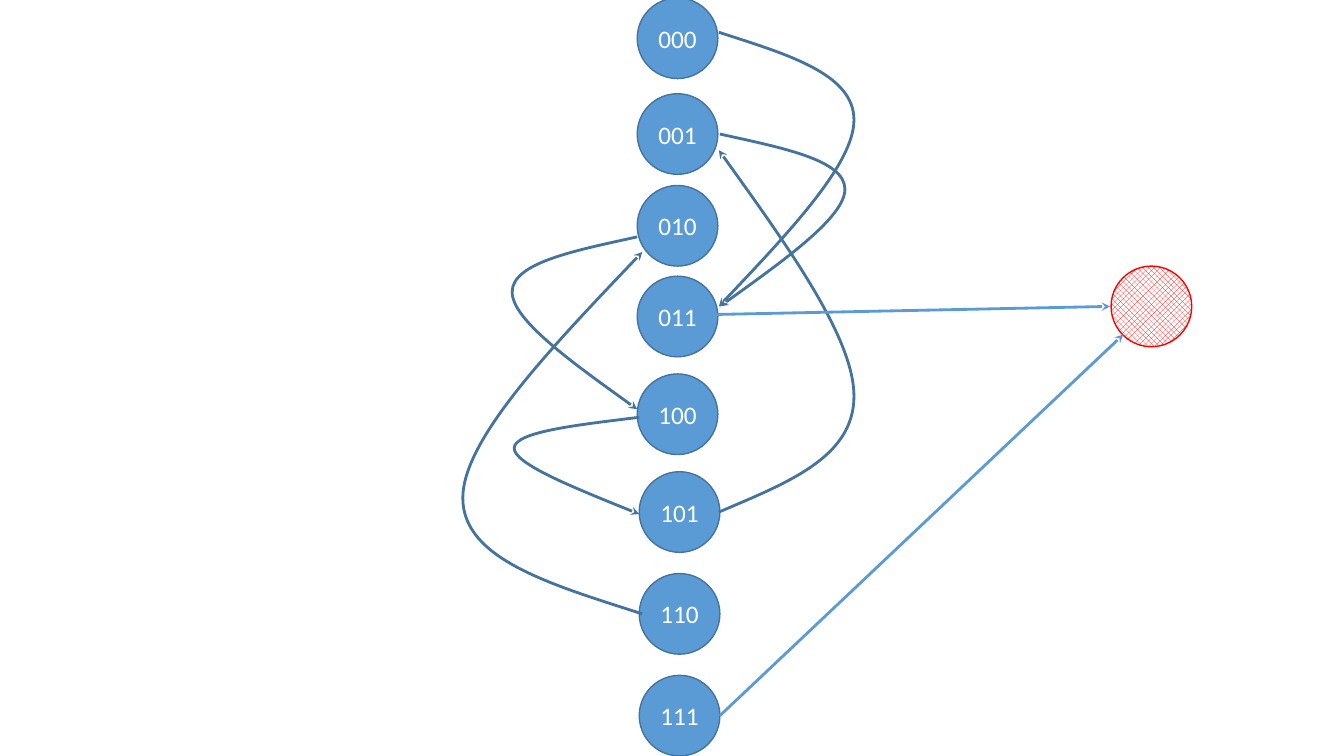
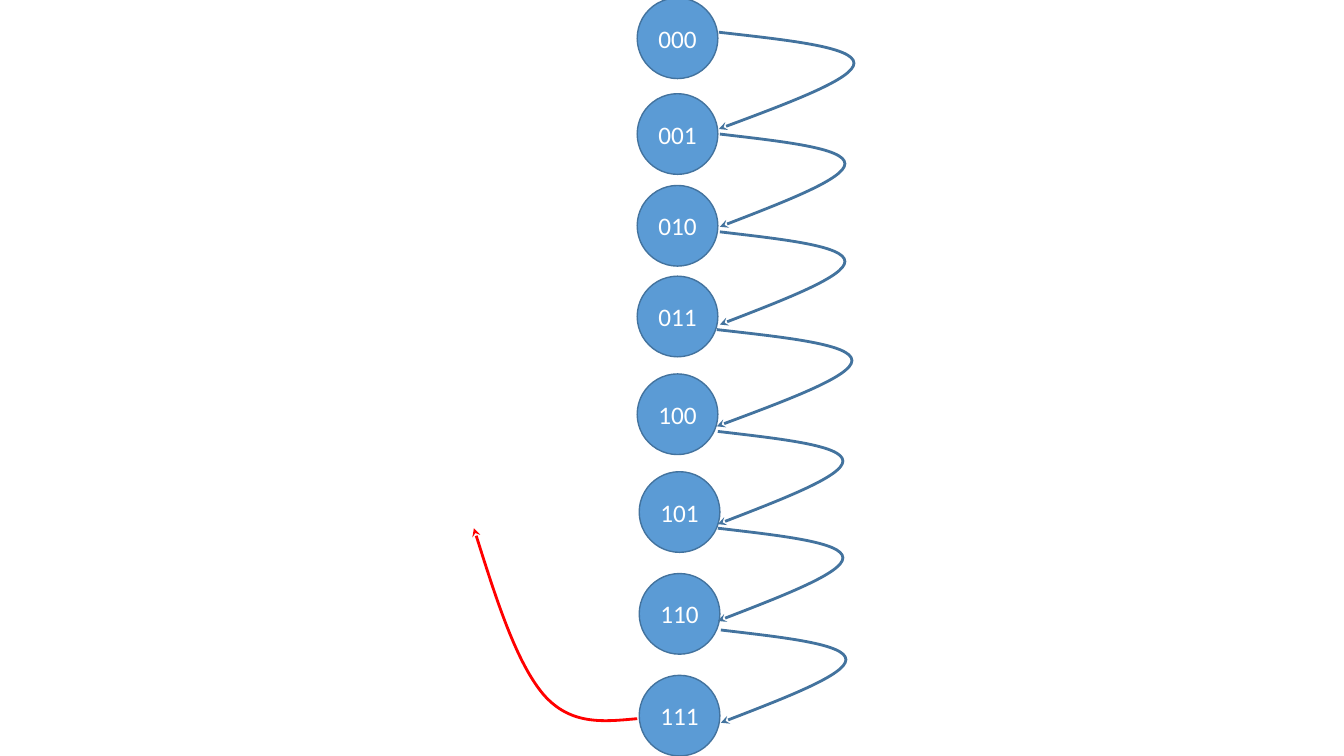
from dataclasses import dataclass

from lxml.etree import SubElement
from pptx import Presentation
from pptx.dml.color import RGBColor
from pptx.enum.dml import MSO_PATTERN
from pptx.enum.shapes import MSO_CONNECTOR, MSO_SHAPE
from pptx.enum.text import MSO_ANCHOR, PP_ALIGN
from pptx.oxml.ns import qn
from pptx.util import Inches, Pt


@dataclass(frozen=True)
class Theme:
    node: RGBColor = RGBColor(0x5B, 0x9B, 0xD5)
    edge: RGBColor = RGBColor(0x43, 0x73, 0x9E)
    alert: RGBColor = RGBColor(0xFF, 0x00, 0x00)
    paper: RGBColor = RGBColor(0xFF, 0xFF, 0xFF)
    font: str = "Calibri"
    label_size: Pt = Pt(18)
    outline: Pt = Pt(1)
    arrow: Pt = Pt(2)


THEME = Theme()
DIAMETER = 0.8
COLUMN = (6.32, 0)
STATES = [
    ("000", 0, -0.02),
    ("001", 0, 0.93),
    ("010", 0, 1.84),
    ("011", 0, 2.74),
    ("100", 0, 3.71),
    ("101", 0.02, 4.68),
    ("110", 0.02, 5.69),
    ("111", 0.02, 6.7),
]
JUMPS = [
    (0.81, 0.32, 1.34, 2.72),
    (0.82, 1.33, 1.24, 1.71),
    (0, 2.35, -1.24, 1.71),
    (0.02, 4.14, -1.24, 0.96),
    (0.81, 5.08, 1.34, -3.59),
    (0.05, 6.09, -1.78, -3.59),
]
STEPS = [
    (0.81, 0.32, 1.34, 0.96),
    (0.82, 1.33, 1.24, 0.92),
    (0.82, 2.3, 1.24, 0.92),
    (0.79, 3.27, 1.34, 0.96),
    (0.8, 4.28, 1.24, 0.92),
    (0.8, 5.24, 1.24, 0.92),
    (0.83, 6.25, 1.24, 0.92),
]
BEND = [(0, 0), (0.5, 0.08), (1, 0.15), (1, 0.32), (1, 0.48), (0.5, 0.74), (0, 1)]
OVERFLOW = [
    (0, 7.13), (-0.33, 7.16), (-0.66, 7.2), (-0.93, 6.89),
    (-1.2, 6.57), (-1.41, 5.91), (-1.62, 5.24),
]
EXIT_CIRCLE = (4.7, 2.64)
EXIT_ARROWS = [((0.79, 3.12), (4.69, 3.04)), ((0.82, 7.1), (4.82, 3.32))]


def style_arrow(arrow, color):
    arrow.line.color.rgb = color
    arrow.line.width = THEME.arrow
    outline = arrow._element.spPr.find(qn("a:ln"))
    SubElement(outline, qn("a:tailEnd"), type="stealth")


def add_circle(slide, left, top, outline_color):
    circle = slide.shapes.add_shape(
        MSO_SHAPE.OVAL, Inches(left), Inches(top), Inches(DIAMETER), Inches(DIAMETER)
    )
    circle.shadow.inherit = False
    circle.line.color.rgb = outline_color
    circle.line.width = THEME.outline
    return circle


def add_state(slide, label, left, top):
    state = add_circle(slide, left, top, THEME.edge)
    state.fill.solid()
    state.fill.fore_color.rgb = THEME.node
    frame = state.text_frame
    frame.margin_left = frame.margin_right = 0
    frame.margin_top = frame.margin_bottom = 0
    frame.vertical_anchor = MSO_ANCHOR.MIDDLE
    paragraph = frame.paragraphs[0]
    paragraph.alignment = PP_ALIGN.CENTER
    run = paragraph.add_run()
    run.text = label
    run.font.name = THEME.font
    run.font.size = THEME.label_size
    run.font.color.rgb = THEME.paper


def add_curve(slide, box, points, color):
    left, top = box
    placed = [(Inches(left + x), Inches(top + y)) for x, y in points]
    builder = slide.shapes.build_freeform(*placed[0])
    builder.add_line_segments(placed[1:], close=False)
    curve = builder.convert_to_shape()
    outline = next(curve._element.spPr.iter(qn("a:path")))
    segments = outline.findall(qn("a:lnTo"))
    for first in range(0, len(segments), 3):
        cubic = SubElement(outline, qn("a:cubicBezTo"))
        for segment in segments[first:first + 3]:
            cubic.append(segment[0])
            outline.remove(segment)
    curve.shadow.inherit = False
    curve.fill.background()
    style_arrow(curve, color)


def add_state_column(slide, box):
    left, top = box
    for label, x, y in STATES:
        add_state(slide, label, left + x, top + y)


def add_transitions(slide, box, transitions):
    for x, y, reach, drop in transitions:
        points = [(x + across * reach, y + down * drop) for across, down in BEND]
        add_curve(slide, box, points, THEME.edge)


def add_exit(slide, box):
    left, top = box
    x, y = EXIT_CIRCLE
    target = add_circle(slide, left + x, top + y, THEME.alert)
    target.fill.patterned()
    target.fill.pattern = MSO_PATTERN.LARGE_CHECKER_BOARD
    target.fill.fore_color.rgb = THEME.alert
    target.fill.back_color.rgb = THEME.paper
    for (start_x, start_y), (end_x, end_y) in EXIT_ARROWS:
        arrow = slide.shapes.add_connector(
            MSO_CONNECTOR.STRAIGHT,
            Inches(left + start_x), Inches(top + start_y),
            Inches(left + end_x), Inches(top + end_y),
        )
        style_arrow(arrow, THEME.node)
        SubElement(arrow._element.spPr, qn("a:effectLst"))


def add_state_slide(deck, transitions):
    slide = deck.slides.add_slide(deck.slide_layouts[6])
    add_state_column(slide, COLUMN)
    add_transitions(slide, COLUMN, transitions)
    return slide


def main():
    deck = Presentation()
    deck.slide_width = Inches(13.33)
    deck.slide_height = Inches(7.5)
    add_exit(add_state_slide(deck, JUMPS), COLUMN)
    counter = add_state_slide(deck, STEPS)
    add_curve(counter, COLUMN, OVERFLOW, THEME.alert)
    deck.save("out.pptx")


if __name__ == "__main__":
    main()
